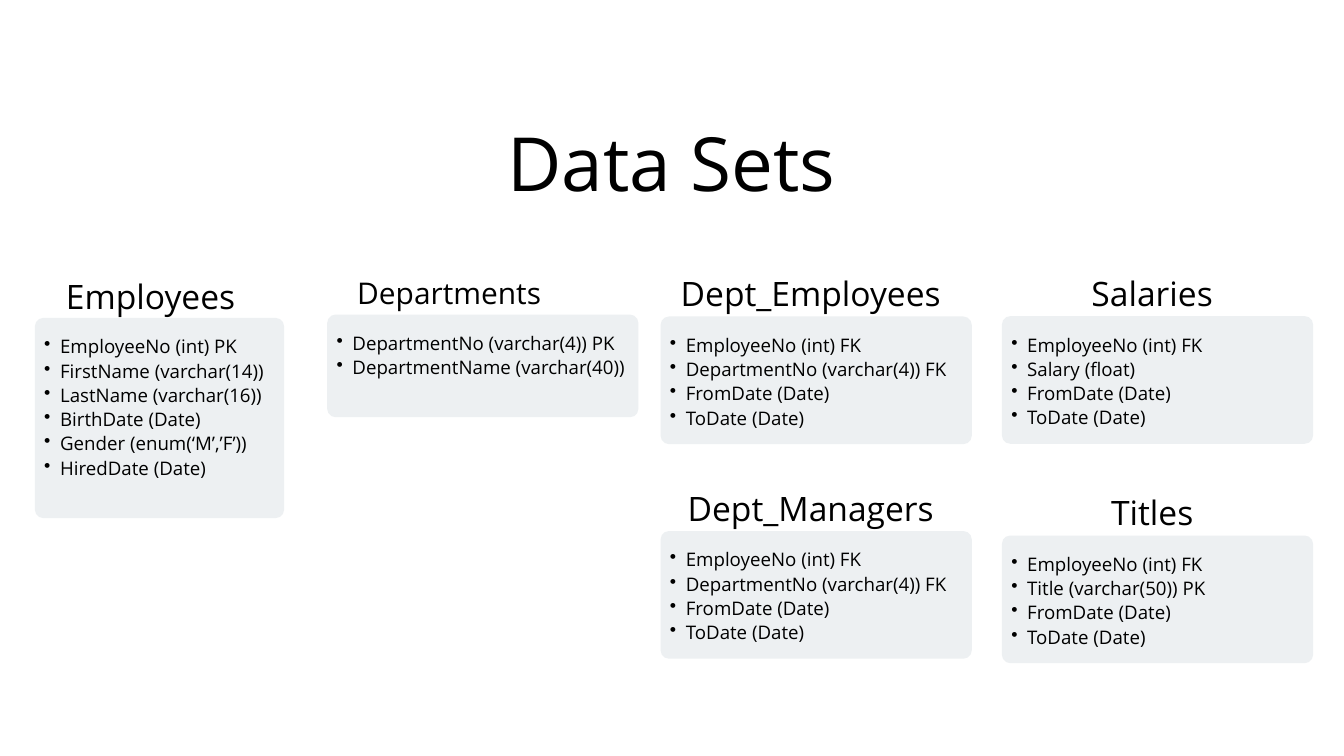
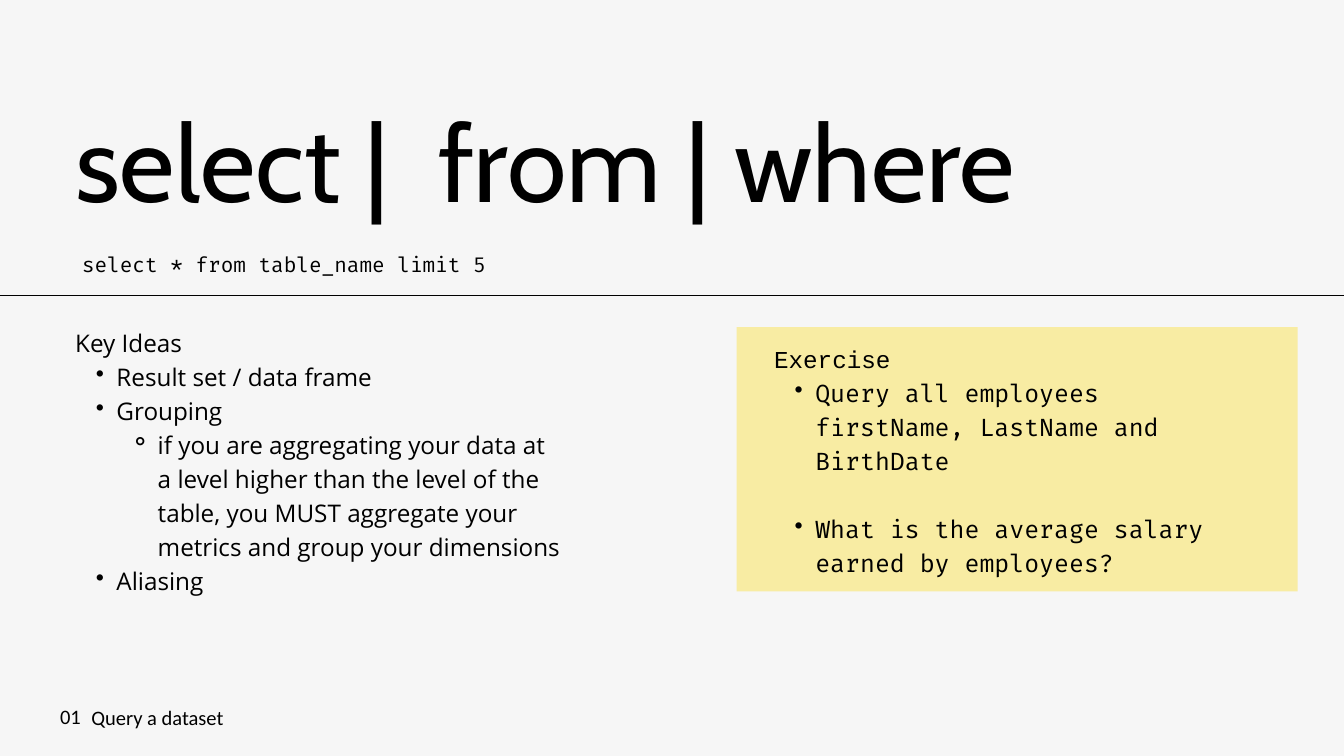
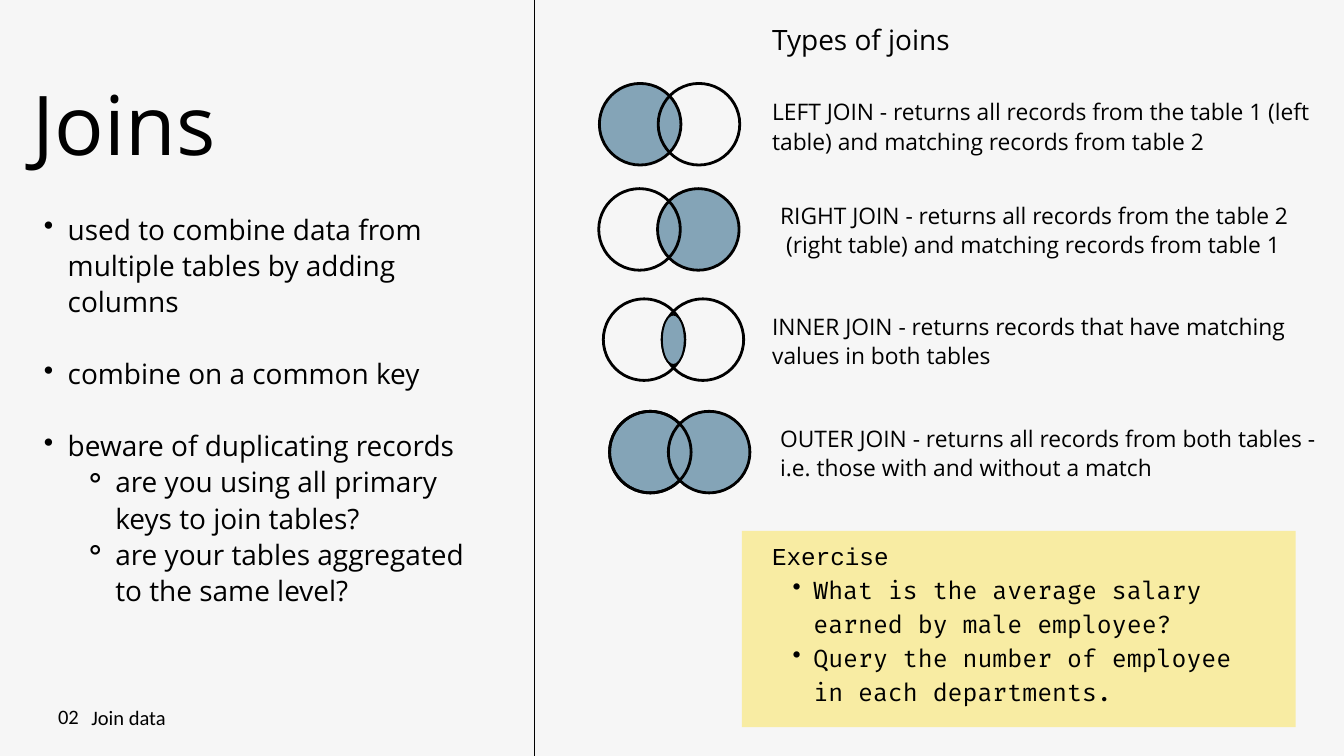
"""Build three SQL lesson slides: the data sets, a first query and the types of joins."""
from dataclasses import dataclass
from typing import NamedTuple

from lxml.etree import SubElement
from pptx import Presentation
from pptx.dml.color import RGBColor
from pptx.enum.shapes import MSO_CONNECTOR, MSO_SHAPE
from pptx.enum.text import MSO_ANCHOR, MSO_AUTO_SIZE, PP_ALIGN
from pptx.oxml.ns import qn
from pptx.util import Pt


class TextStyle(NamedTuple):
    font: str
    size: float
    leading: float


@dataclass(frozen=True)
class Theme:
    ink: RGBColor = RGBColor(0x00, 0x00, 0x00)
    white: RGBColor = RGBColor(0xFF, 0xFF, 0xFF)
    paper: RGBColor = RGBColor(0xF6, 0xF6, 0xF6)
    card: RGBColor = RGBColor(0xED, 0xF0, 0xF2)
    exercise_fill: RGBColor = RGBColor(0xF8, 0xEC, 0xA3)
    join_fill: RGBColor = RGBColor(0x84, 0xA4, 0xB7)
    sets_title: TextStyle = TextStyle("Open Sans", 80, 96)
    query_title: TextStyle = TextStyle("Cabin", 115.6, 149.1)
    joins_title: TextStyle = TextStyle("Open Sans", 88.3, 98.9)
    heading: TextStyle = TextStyle("Open Sans", 36, 46.8)
    small_heading: TextStyle = TextStyle("Open Sans", 32, 41.6)
    field: TextStyle = TextStyle("Open Sans", 20, 26)
    ideas: TextStyle = TextStyle("Open Sans", 26, 36.4)
    points: TextStyle = TextStyle("Open Sans", 30, 38.7)
    definition: TextStyle = TextStyle("Open Sans", 24.4, 31.5)
    exercise: TextStyle = TextStyle("Fira Code", 26, 36.4)
    code: TextStyle = TextStyle("Fira Code", 22, 30.8)
    page_number: TextStyle = TextStyle("Calibri", 22, 30.8)
    footer: TextStyle = TextStyle("Calibri", 22, 38.7)
    exercise_heading_font: str = "Courier New"
    bullets: tuple = ("", "•", "⚬")


THEME = Theme()


def write_text(shape, box, lines, style, align=PP_ALIGN.LEFT):
    """Place a text shape and fill it with (level, text) lines; levels above 0 get bullets."""
    shape.left, shape.top, shape.width, shape.height = map(Pt, box)
    frame = shape.text_frame
    frame.text = "\n".join(text for level, text in lines)
    frame.auto_size = MSO_AUTO_SIZE.NONE
    frame.word_wrap = True
    frame.vertical_anchor = MSO_ANCHOR.TOP
    frame.margin_left = frame.margin_top = frame.margin_right = frame.margin_bottom = 0
    for paragraph, (level, text) in zip(frame.paragraphs, lines):
        paragraph.alignment = align
        paragraph.line_spacing = Pt(style.leading)
        paragraph.space_before = Pt(0)
        font = paragraph.runs[0].font
        font.name, font.size, font.color.rgb = style.font, Pt(style.size), THEME.ink
        if level:
            paragraph.level = level
            indent = 1.7 * style.size * level
            properties = paragraph._p.get_or_add_pPr()
            properties.set("marL", str(Pt(indent)))
            properties.set("indent", str(-Pt(indent / (level + 1))))
            SubElement(properties, qn("a:buChar")).set("char", THEME.bullets[level])
    return frame


def add_panel(slide, preset, box, fill=None, line_width=0):
    """Add a preset shape with an optional fill and outline."""
    shape = slide.shapes.add_shape(preset, *map(Pt, box))
    shape.shadow.inherit = False
    if fill is None:
        shape.fill.background()
    else:
        shape.fill.solid()
        shape.fill.fore_color.rgb = fill
    if line_width:
        shape.line.color.rgb = THEME.ink
        shape.line.width = Pt(line_width)
    else:
        shape.line.fill.background()
    return shape


presentation = Presentation()
presentation.slide_width, presentation.slide_height = Pt(1440), Pt(810)
slides = []
for background in (THEME.white, THEME.paper, THEME.paper):
    slide = presentation.slides.add_slide(presentation.slide_layouts[5])
    slide.background.fill.solid()
    slide.background.fill.fore_color.rgb = background
    slides.append(slide)
sets_slide, query_slide, joins_slide = slides

write_text(sets_slide.shapes.title, (165, 125.3, 1109, 96), [(0, "Data Sets")],
           THEME.sets_title, PP_ALIGN.CENTER)

data_sets = [
    ("Employees", THEME.heading, (46.8, 291.6, 229), (37.4, 340.6, 267, 214.5),
     ["EmployeeNo (int) PK", "FirstName (varchar(14))", "LastName (varchar(16))",
      "BirthDate (Date)", "Gender (enum(‘M’,’F’))", "HiredDate (Date)"]),
    ("Departments", THEME.small_heading, (352.8, 291.6, 257), (350.6, 337, 333.4, 110),
     ["DepartmentNo (varchar(4)) PK", "DepartmentName (varchar(40))"]),
    ("Dept_Employees", THEME.heading, (714.2, 288.7, 309), (707.8, 339.1, 333.4, 136.8),
     ["EmployeeNo (int) FK", "DepartmentNo (varchar(4)) FK", "FromDate (Date)", "ToDate (Date)"]),
    ("Dept_Managers", THEME.heading, (714.2, 519.1, 309), (707.8, 569, 333.4, 136.8),
     ["EmployeeNo (int) FK", "DepartmentNo (varchar(4)) FK", "FromDate (Date)", "ToDate (Date)"]),
    ("Salaries", THEME.heading, (1080, 288.7, 309), (1073.5, 338.7, 333.4, 136.8),
     ["EmployeeNo (int) FK", "Salary (float)", "FromDate (Date)", "ToDate (Date)"]),
    ("Titles", THEME.heading, (1080, 523.4, 309), (1073.5, 573.8, 333.4, 136.8),
     ["EmployeeNo (int) FK", "Title (varchar(50)) PK", "FromDate (Date)", "ToDate (Date)"]),
]
for name, heading_style, heading_place, card_box, fields in data_sets:
    left, top, width, height = card_box
    card = add_panel(sets_slide, MSO_SHAPE.ROUNDED_RECTANGLE, card_box, THEME.card)
    card.adjustments[0] = 9 / min(width, height)
    write_text(sets_slide.shapes.add_textbox(0, 0, 0, 0),
               (*heading_place, heading_style.leading), [(0, name)],
               heading_style, PP_ALIGN.CENTER)
    write_text(sets_slide.shapes.add_textbox(0, 0, 0, 0),
               (left - 7, top + 16.5, width + 3, len(fields) * THEME.field.leading),
               [(1, field) for field in fields], THEME.field)

lessons = [
    (query_slide, "select |  from | where", THEME.query_title, (80.6, 90.7, 1278, 143.3),
     (0, 316, 1440, 316), ("01", 40.3, "Query a dataset"),
     (789.1, 350.6, 601.2, 283), (829.4, 363.6, 521.3, 253.4),
     ["Query all employees firstName, LastName and BirthDate",
      "What is the average salary earned by employees?"], THEME.exercise.leading),
    (joins_slide, "Joins", THEME.joins_title, (35.3, 85, 452.2, 101.5),
     (572.4, 0, 572.4, 810), ("02", 36, "Join data"),
     (794.9, 568.8, 593.3, 210.2), (827.3, 574.6, 521.3, 180.7),
     ["What is the average salary earned by male employee?",
      "Query the number of employee in each departments."], 0),
]
for (slide, title, title_style, title_box, rule_ends, (number, number_width, label),
     panel_box, exercise_box, tasks, task_gap) in lessons:
    write_text(slide.shapes.title, title_box, [(0, title)], title_style)
    rule = slide.shapes.add_connector(MSO_CONNECTOR.STRAIGHT, *map(Pt, rule_ends))
    rule.line.color.rgb = THEME.ink
    rule.line.width = Pt(0.75)
    SubElement(rule._element.spPr, qn("a:effectLst"))
    add_panel(slide, MSO_SHAPE.RECTANGLE, panel_box, THEME.exercise_fill)
    exercise = write_text(slide.shapes.add_textbox(0, 0, 0, 0), exercise_box,
                          [(0, "Exercise")] + [(1, task) for task in tasks], THEME.exercise)
    exercise.paragraphs[0].runs[0].font.name = THEME.exercise_heading_font
    exercise.paragraphs[2].space_before = Pt(task_gap)
    write_text(slide.shapes.add_textbox(0, 0, 0, 0), (55.4, 749.5, number_width, 30.2),
               [(0, number)], THEME.page_number, PP_ALIGN.CENTER)
    write_text(slide.shapes.add_textbox(0, 0, 0, 0), (97.9, 743, 698.4, 36.7),
               [(0, label)], THEME.footer)

write_text(query_slide.shapes.add_textbox(0, 0, 0, 0), (80.6, 265.7, 447, 31),
           [(0, "select * from table_name limit 5")], THEME.code, PP_ALIGN.CENTER)
key_ideas = [
    (0, "Key Ideas"),
    (1, "Result set / data frame"),
    (1, "Grouping"),
    (2, "if you are aggregating your data at a level higher than the level of the table, "
        "you MUST aggregate your metrics and group your dimensions"),
    (1, "Aliasing"),
]
write_text(query_slide.shapes.add_textbox(0, 0, 0, 0), (80.6, 346.3, 521.3, 287.3),
           key_ideas, THEME.ideas)

join_points = [
    (1, "used to combine data from multiple tables by adding columns"),
    (1, "combine on a common key"),
    (1, "beware of duplicating records"),
    (2, "are you using all primary keys to join tables?"),
    (2, "are your tables aggregated to the same level?"),
]
points = write_text(joins_slide.shapes.add_textbox(0, 0, 0, 0), (21.6, 224.6, 506.9, 431.3),
                    join_points, THEME.points)
for paragraph in points.paragraphs[1:3]:
    paragraph.space_before = Pt(THEME.points.leading)
write_text(joins_slide.shapes.add_textbox(0, 0, 0, 0), (827.3, 20.9, 600, 36.7),
           [(0, "Types of joins")], THEME.points)

LEFT, RIGHT = 0, 1
FILLED, OPEN = THEME.join_fill, None
CIRCLE_SIZE, CIRCLE_STEP = 87.4, 63
joins = [
    (642.2, 89.4, [(LEFT, FILLED), (RIGHT, OPEN)], (827.3, 103, 612.7, 61.2),
     ["LEFT JOIN - returns all records from the table 1 (left table) "
      "and matching records from table 2"]),
    (641.5, 202.1, [(RIGHT, FILLED), (LEFT, OPEN)], (835.9, 213.8, 604, 62.6),
     ["RIGHT JOIN - returns all records from the table 2",
      " (right table) and matching records from table 1"]),
    (646.4, 320.2, [(LEFT, OPEN), (RIGHT, OPEN)], (827.3, 332.6, 600.5, 59.8),
     ["INNER JOIN - returns records that have matching values in both tables"]),
    (653.1, 440.7, [(LEFT, FILLED), (RIGHT, FILLED), (LEFT, OPEN)], (835.9, 452.9, 589.7, 59.8),
     ["OUTER JOIN - returns all records from both tables - "
      "i.e. those with and without a match"]),
]
for left, top, circles, definition_box, definition in joins:
    for side, fill in circles:
        add_panel(joins_slide, MSO_SHAPE.OVAL,
                  (left + side * CIRCLE_STEP, top, CIRCLE_SIZE, CIRCLE_SIZE), fill, 3)
    write_text(joins_slide.shapes.add_textbox(0, 0, 0, 0), definition_box,
               [(0, line) for line in definition], THEME.definition)
add_panel(joins_slide, MSO_SHAPE.OVAL, (709.2, 337, 24.5, 54), THEME.join_fill, 2)

presentation.save("out.pptx")
